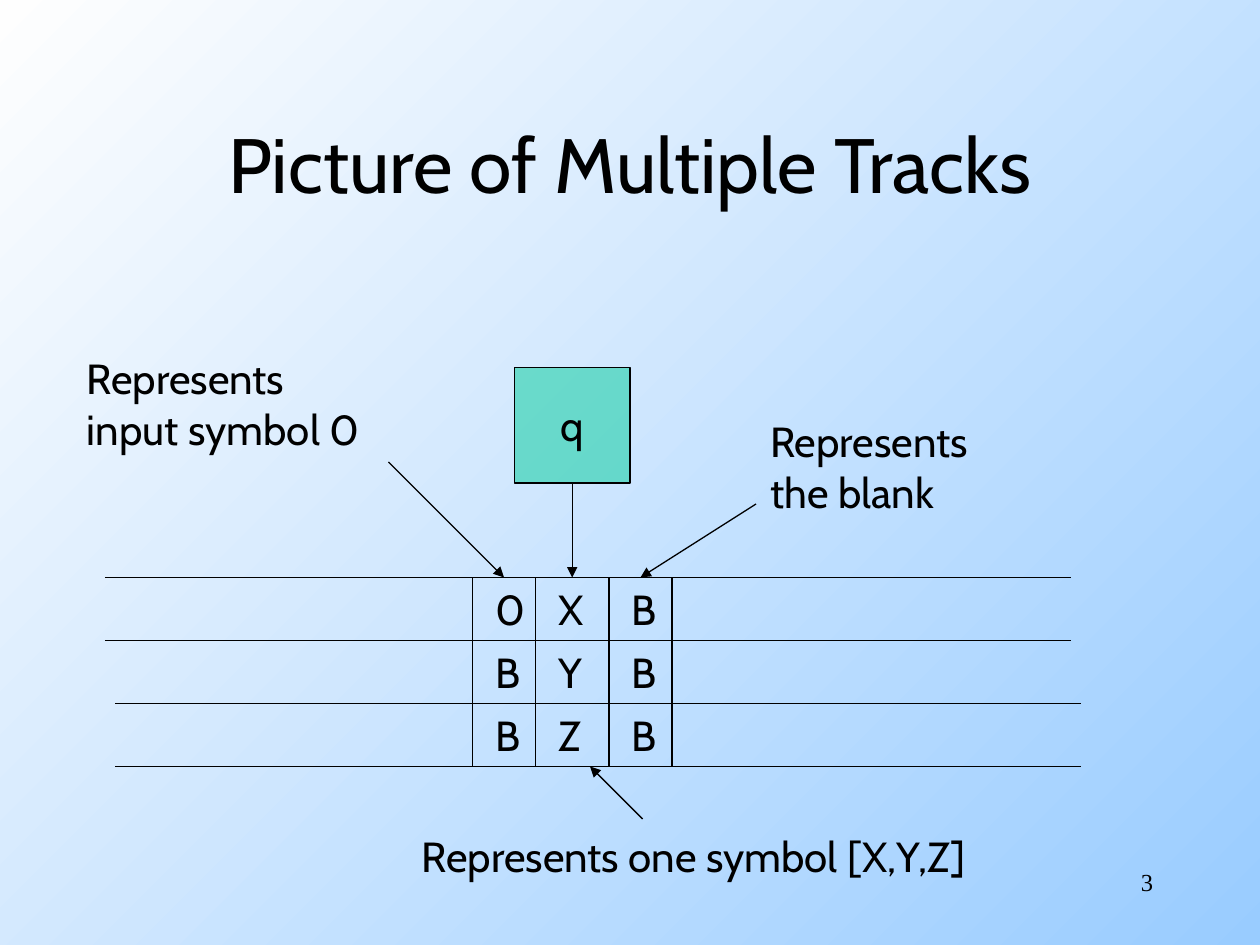
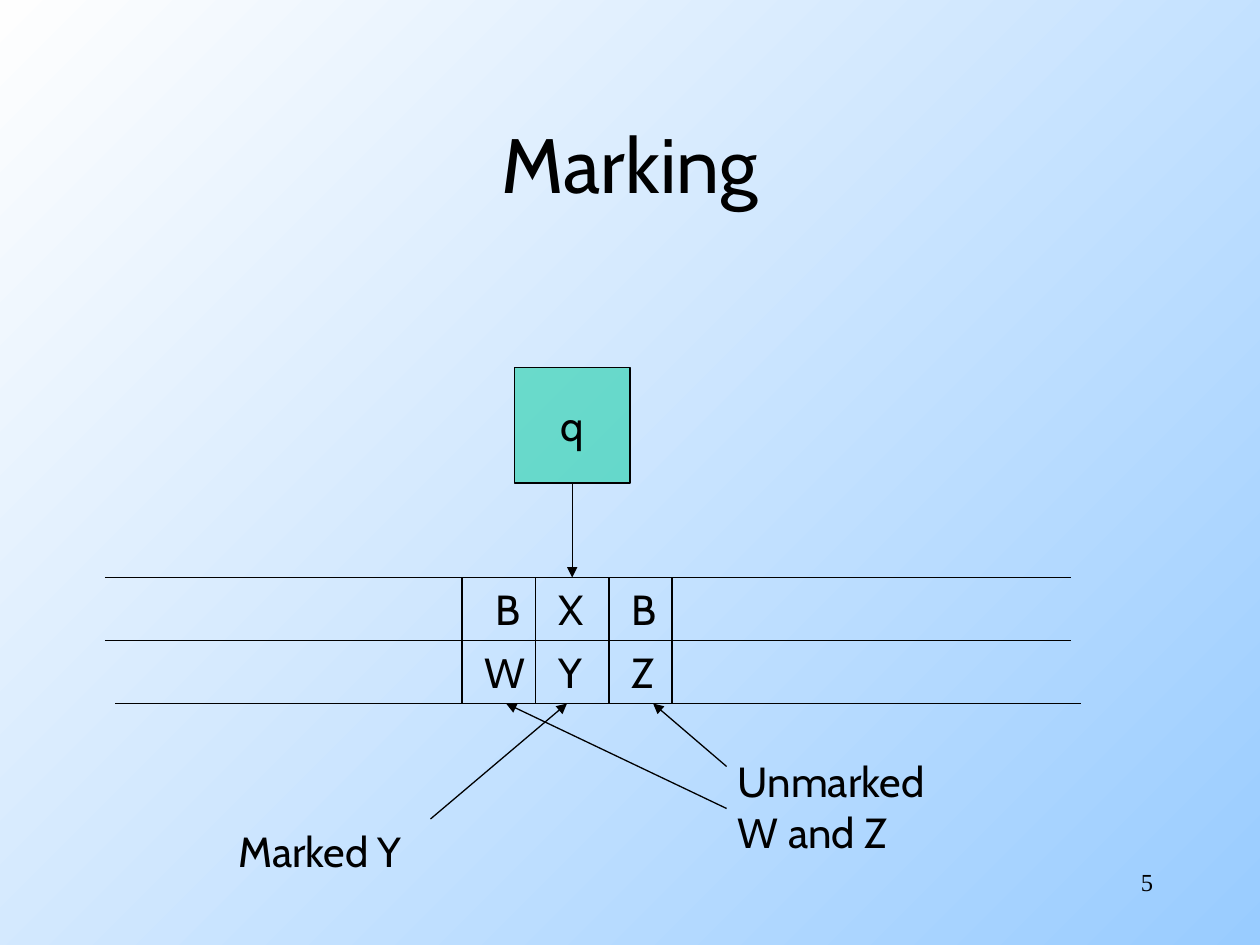
from functools import partial

from lxml.etree import SubElement
from pptx import Presentation
from pptx.dml.color import RGBColor
from pptx.enum.shapes import MSO_CONNECTOR, MSO_SHAPE
from pptx.enum.text import MSO_ANCHOR, PP_ALIGN
from pptx.oxml.ns import qn
from pptx.util import Inches, Pt

# The slide is a grid of 120 columns by 90 rows
GRID = Inches(10) / 120
INK = RGBColor.from_string("000000")
HEAD_FILL = RGBColor.from_string("00CC99")
SKY = ["99CCFF", "FEFEFE"]

TAPE_TOP, TRACK_HEIGHT = 55, 6
TRACK_STARTS = [10, 10, 11, 11]
TRACK_LENGTH = 92

SLIDES = [
    {
        "title": "Picture of Multiple Tracks",
        "number": "3",
        "tracks": ["0XB", "BYB", "BZB"],
        "separators": [45, 51, 58, 64],
        "labels": [
            ("Represents one symbol [X,Y,Z]", (39, 78.5, 59, 6)),
            ("Represents\ninput symbol 0", (7.1, 33, 30.2, 10.8)),
            ("Represents\nthe blank", (72.2, 39, 23.5, 10.8)),
        ],
        "pointers": [(61.2, 78, 56.2, 73), (37, 44, 48, 55), (72, 48, 61, 55)],
    },
    {
        "title": "Marking",
        "number": "5",
        "tracks": ["BXB", "WYZ"],
        "separators": [44, 51, 58, 64],
        "labels": [
            ("Marked Y", (21.5, 78, 20, 6)),
            ("Unmarked\nW and Z", (69.1, 71.4, 22.2, 10.8)),
        ],
        "pointers": [(41, 78, 54, 67), (69.2, 77, 48.2, 67), (69.2, 73, 62.2, 67)],
    },
]


def add_text(add_holder, box, text, size=24, font="Cabin", align=PP_ALIGN.LEFT,
             anchor=MSO_ANCHOR.TOP, wrap=False):
    """Make a holder at a grid box (left, top, width, height) and fill it with text."""
    holder = add_holder(*[round(cells * GRID) for cells in box])
    frame = holder.text_frame
    frame.text = text
    frame.word_wrap = wrap
    frame.vertical_anchor = anchor
    for paragraph in frame.paragraphs:
        paragraph.alignment = align
        paragraph.font.size = Pt(size)
        paragraph.font.name = font
        paragraph.font.color.rgb = INK
    return holder


def add_line(slide, ends, arrow=False):
    line = slide.shapes.add_connector(
        MSO_CONNECTOR.STRAIGHT, *[round(cells * GRID) for cells in ends])
    line.line.color.rgb = INK
    line.line.width = Pt(0.75)
    if arrow:
        SubElement(line.line._get_or_add_ln(), qn("a:tailEnd"), type="triangle")
    SubElement(line._element.spPr, qn("a:effectLst"))
    return line


deck = Presentation()
deck.slide_width, deck.slide_height = Inches(10), Inches(7.5)

for content in SLIDES:
    slide = deck.slides.add_slide(deck.slide_layouts[6])
    add_textbox = slide.shapes.add_textbox

    sky = slide.background.fill
    sky.gradient()
    sky.gradient_angle = 135
    for stop, colour in zip(sky.gradient_stops, SKY):
        stop.color.rgb = RGBColor.from_string(colour)

    add_text(add_textbox, (9, 8, 102, 15), content["title"], size=44,
             align=PP_ALIGN.CENTER, anchor=MSO_ANCHOR.MIDDLE, wrap=True)

    # Tape head in state q, half transparent
    add_square = partial(slide.shapes.add_shape, MSO_SHAPE.RECTANGLE)
    head = add_text(add_square, (49, 35, 11, 11), "q",
                    align=PP_ALIGN.CENTER, anchor=MSO_ANCHOR.MIDDLE)
    head.shadow.inherit = False
    head.fill.solid()
    head.fill.fore_color.rgb = HEAD_FILL
    head_colour = head._element.spPr.find(qn("a:solidFill"))[0]
    SubElement(head_colour, qn("a:alpha"), val="50000")
    head.line.color.rgb = INK
    head.line.width = Pt(0.75)

    # Tape: track borders, cell separators and symbols
    track_count = len(content["tracks"])
    for row, start in enumerate(TRACK_STARTS[:track_count + 1]):
        y = TAPE_TOP + row * TRACK_HEIGHT
        add_line(slide, (start, y, start + TRACK_LENGTH, y))
    tape_bottom = TAPE_TOP + track_count * TRACK_HEIGHT
    for x in content["separators"]:
        add_line(slide, (x, TAPE_TOP, x, tape_bottom))
    for row, symbols in enumerate(content["tracks"]):
        for left, symbol in zip([46, 52, 59], symbols):
            # W is the one symbol wider than its cell allows
            left, width = (45, 6.1) if symbol == "W" else (left, 4.8)
            y = TAPE_TOP + row * TRACK_HEIGHT
            add_text(add_textbox, (left, y, width, TRACK_HEIGHT), symbol)

    head_pointer = add_line(slide, (54.5, 46, 54.5, TAPE_TOP), arrow=True)
    head_pointer.begin_connect(head, 2)

    for label, box in content["labels"]:
        add_text(add_textbox, box, label)
    for ends in content["pointers"]:
        add_line(slide, ends, arrow=True)

    add_text(add_textbox, (86, 82, 25, 6), content["number"], size=14,
             font="Times New Roman", align=PP_ALIGN.RIGHT, wrap=True)

deck.save("out.pptx")
